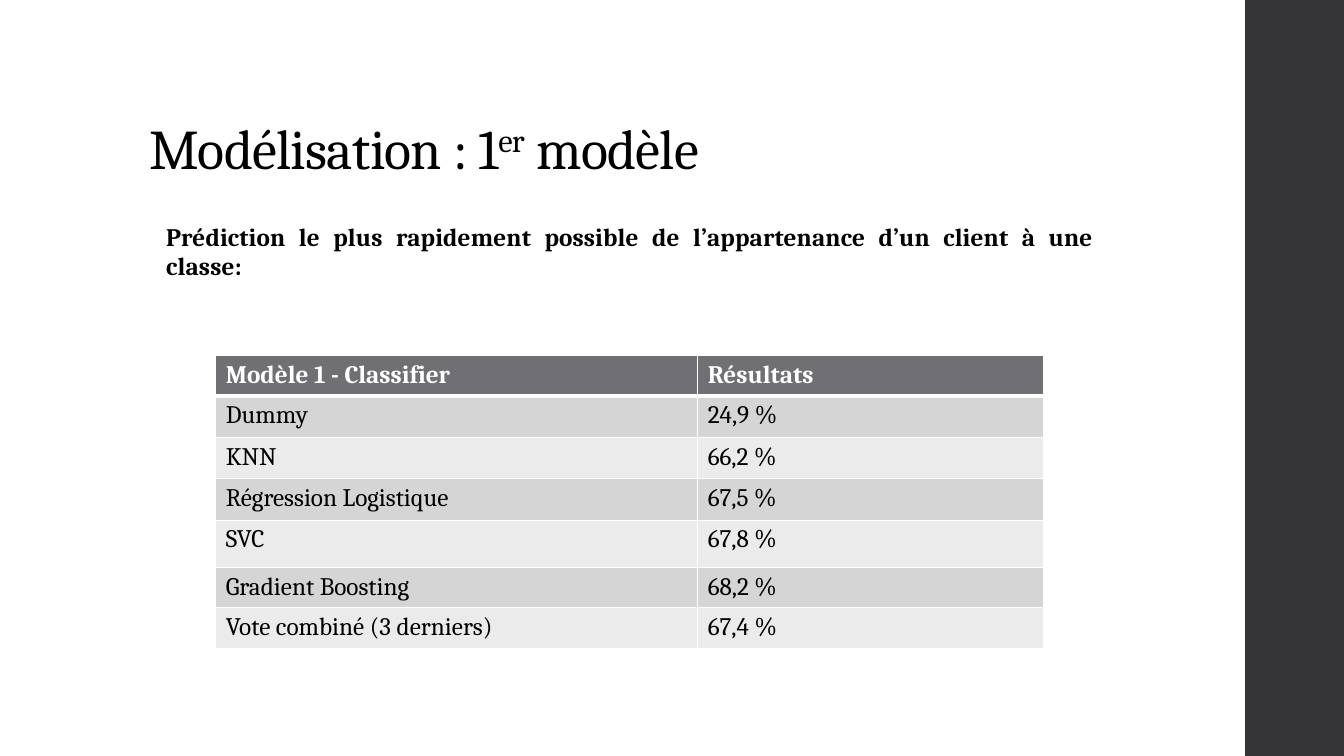
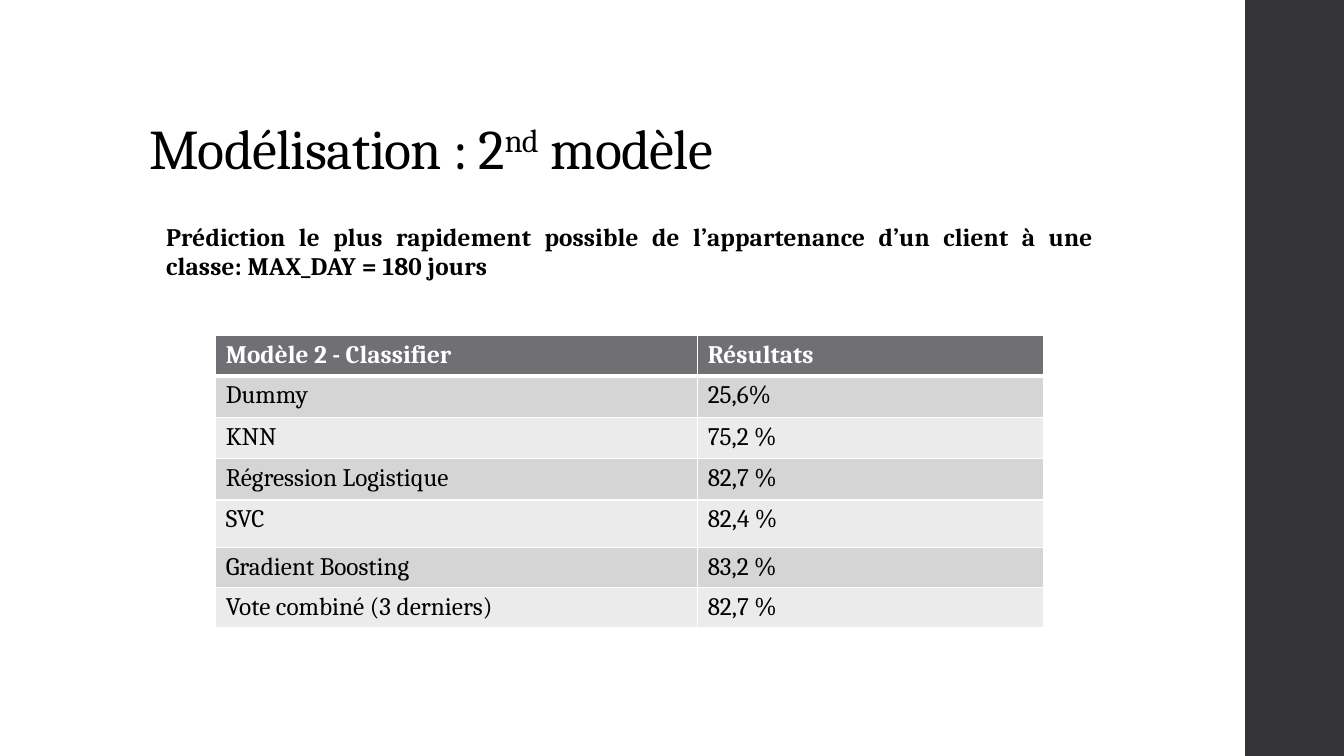
"""Build two slides that compare classifier results in tables."""
from dataclasses import dataclass

from lxml import etree
from pptx import Presentation
from pptx import util as u
from pptx.dml.color import RGBColor
from pptx.enum import shapes, text
from pptx.oxml import ns

MODELS = ("Dummy", "KNN", "Régression Logistique", "SVC",
          "Gradient Boosting", "Vote combiné (3 derniers)")
GOAL = ("Prédiction le plus rapidement possible de l’appartenance "
        "d’un client à une classe:")
SLIDES = [
    dict(number="1", suffix="er", goal=GOAL, table_top=3.53,
         results=("24,9 %", "66,2 %", "67,5 %", "67,8 %", "68,2 %", "67,4 %")),
    dict(number="2", suffix="nd", goal=GOAL + " MAX_DAY = 180 jours", table_top=3.33,
         results=("25,6%", "75,2 %", "82,7 %", "82,4 %", "83,2 %", "82,7 %")),
]
COLUMNS = (4.78, 3.43)
ROWS = (0.38, 0.41, 0.41, 0.41, 0.47, 0.39, 0.39)
TABLE_LEFT = 2.14
WIDTH, HEIGHT, BAND_LEFT = 13.33, 7.5, 12.35


@dataclass(frozen=True)
class Theme:
    font: str = "Cambria"
    title: int = 40
    body: int = 18
    ink: str = "000000"
    paper: str = "FFFFFF"
    band: str = "353537"
    header: str = "6F6F74"
    stripes: tuple = ("D5D5D6", "EBEBEB")


T = Theme()


def paint(fill, color):
    fill.solid()
    fill.fore_color.rgb = RGBColor.from_string(color)


def write(tf, runs, size=T.body, color=T.ink, bold=False, tracking=0,
          align=None, line=None, before=None, after=None):
    p = tf.paragraphs[0]
    p.alignment, p.line_spacing = align, line
    p.space_before, p.space_after = before, after
    for words, baseline in runs:
        r = p.add_run()
        r.text = words
        r.font.name, r.font.size, r.font.bold = T.font, u.Pt(size), bold
        r.font.color.rgb = RGBColor.from_string(color)
        rpr = r._r.get_or_add_rPr()
        if tracking:
            rpr.set("spc", str(round(tracking * 100)))
        if baseline:
            rpr.set("baseline", str(baseline * 1000))


def text_box(s, box, runs, anchor=text.MSO_ANCHOR.TOP, **style):
    tf = s.shapes.add_textbox(*map(u.Inches, box)).text_frame
    tf.word_wrap = True
    tf.vertical_anchor = anchor
    write(tf, runs, **style)


def borders(cell, bottom):
    tcpr = cell._tc.get_or_add_tcPr()
    for place, (side, width) in enumerate(dict(lnL=1, lnR=1, lnT=1, lnB=bottom).items()):
        ln = etree.Element(ns.qn("a:" + side), w=str(u.Pt(width)))
        fill = etree.SubElement(ln, ns.qn("a:solidFill"))
        etree.SubElement(fill, ns.qn("a:srgbClr"), val=T.paper)
        tcpr.insert(place, ln)


def results_table(s, top, rows):
    box = (TABLE_LEFT, top, sum(COLUMNS), sum(ROWS))
    table = s.shapes.add_table(len(ROWS), len(COLUMNS), *map(u.Inches, box)).table
    table.first_row = table.horz_banding = False
    for column, width in zip(table.columns, COLUMNS):
        column.width = u.Inches(width)
    for i, (row, height, values) in enumerate(zip(table.rows, ROWS, rows)):
        row.height = u.Inches(height)
        head = i == 0
        for cell, value in zip(row.cells, values):
            paint(cell.fill, T.header if head else T.stripes[(i - 1) % 2])
            borders(cell, 3 if head else 1)
            if i == 1:
                cell._tc.tcPr.find(ns.qn("a:lnT")).set("w", str(u.Pt(3)))
            write(cell.text_frame, [(value, 0)], bold=head,
                  color=T.paper if head else T.ink)


def base_slide(prs):
    s = prs.slides.add_slide(prs.slide_layouts[6])
    paint(s.background.fill, T.paper)
    box = (BAND_LEFT, 0, WIDTH - BAND_LEFT, HEIGHT)
    sp = s.shapes.add_shape(shapes.MSO_SHAPE.RECTANGLE, *map(u.Inches, box))
    sp.shadow.inherit = False
    paint(sp.fill, T.band)
    sp.line.fill.background()
    return s


def main():
    prs = Presentation()
    prs.slide_width, prs.slide_height = u.Inches(WIDTH), u.Inches(HEIGHT)
    for d in SLIDES:
        s = base_slide(prs)
        title = [("Modélisation : " + d["number"], 0), (d["suffix"], 30), (" modèle", 0)]
        text_box(s, (1.38, 0.4, 10.6, 1.45), title, anchor=text.MSO_ANCHOR.BOTTOM,
                 size=T.title, tracking=-0.5, line=0.9)
        text_box(s, (1.55, 2.17, 9.4, 4.76), [(d["goal"], 0)], bold=True, tracking=0.1,
                 align=text.PP_ALIGN.JUSTIFY, line=0.95, before=u.Pt(14), after=u.Pt(2))
        header = (f"Modèle {d['number']} - Classifier", "Résultats")
        results_table(s, d["table_top"], [header, *zip(MODELS, d["results"])])
    prs.save("out.pptx")


main()
